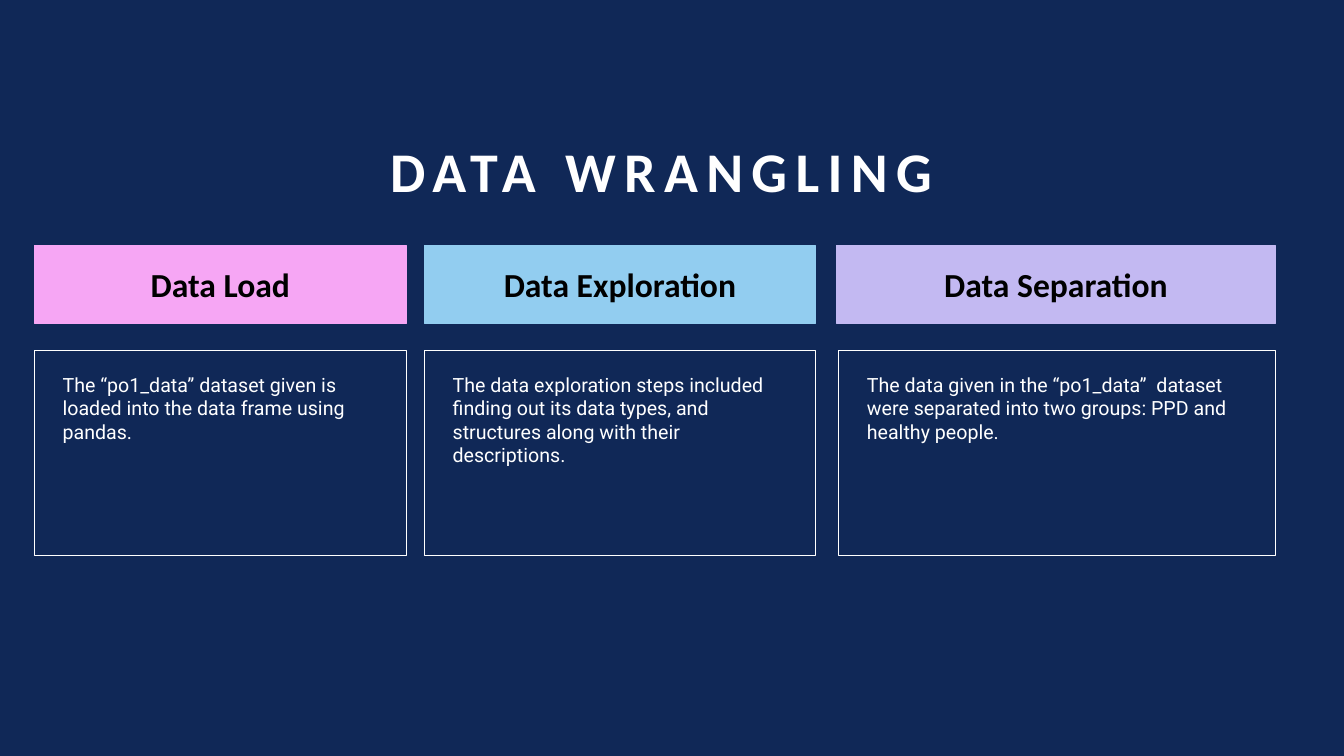
from pptx import Presentation
from pptx.dml.color import RGBColor
from pptx.enum.shapes import MSO_SHAPE
from pptx.enum.text import MSO_ANCHOR, PP_ALIGN
from pptx.util import Pt

RECT = MSO_SHAPE.RECTANGLE
TOP, MIDDLE, BOTTOM = MSO_ANCHOR.TOP, MSO_ANCHOR.MIDDLE, MSO_ANCHOR.BOTTOM
LEFT, CENTER = PP_ALIGN.LEFT, PP_ALIGN.CENTER

COLORS = {
    "navy": "102857",
    "white": "FFFFFF",
    "black": "000000",
    "pink": "F6A6F4",
    "blue": "92CDF0",
    "lilac": "C3B9F2",
}
HEADER_TOP, HEADER_HEIGHT = 175.5, 55.5
BODY_TOP, BODY_HEIGHT = 250.5, 146.2
BODY_INSETS = (20.2, 15.8, 21.6, 3.6)

# heading, colour, header left, body left, right edge, description
STEPS = [
    ("Data Load", "pink", 24.5, 24.5, 290.2,
     "The “po1_data” dataset given is loaded into the data frame using pandas."),
    ("Data Exploration", "blue", 303.1, 303.1, 582.5,
     "The data exploration steps included finding out its data types, "
     "and structures along with their descriptions."),
    ("Data Separation", "lilac", 597.6, 599, 911,
     "The data given in the “po1_data”  dataset were separated into "
     "two groups: PPD and healthy people."),
]


def rgb(name):
    """Return the named colour."""
    return RGBColor.from_string(COLORS[name])


def write(sp, text, font, size, color, bold, align, anchor):
    """Put one paragraph of styled text into a shape and return it."""
    tf = sp.text_frame
    tf.word_wrap = True
    tf.vertical_anchor = anchor
    p = tf.paragraphs[0]
    p.text = text
    p.alignment = align
    p.font.name, p.font.size, p.font.bold = font, Pt(size), bold
    p.font.color.rgb = rgb(color)
    return p


def add_title(s, text):
    """Add the centred, letter-spaced title."""
    sp = s.shapes.add_textbox(Pt(130.3), Pt(65.5), Pt(699.1), Pt(84.2))
    p = write(sp, text, "Calibri", 40, "white", True, CENTER, BOTTOM)
    p.line_spacing = 0.9
    p.runs[0]._r.get_or_add_rPr().set("spc", "600")


def add_box(s, left, top, right, height, line, fill=None):
    """Add a rectangle with a thin outline and an optional fill."""
    sp = s.shapes.add_shape(RECT, Pt(left), Pt(top), Pt(right - left), Pt(height))
    sp.shadow.inherit = False
    sp.line.color.rgb = rgb(line)
    sp.line.width = Pt(1)
    if fill:
        sp.fill.solid()
        sp.fill.fore_color.rgb = rgb(fill)
    else:
        sp.fill.background()
    return sp


def add_header(s, text, color, left, right):
    """Add the coloured heading of a step."""
    sp = add_box(s, left, HEADER_TOP, right, HEADER_HEIGHT, color, color)
    write(sp, text, "Calibri", 24, "black", True, CENTER, MIDDLE)


def add_body(s, text, left, right):
    """Add the outlined description of a step."""
    sp = add_box(s, left, BODY_TOP, right, BODY_HEIGHT, "white")
    p = write(sp, text, "Roboto", 14, "white", False, LEFT, TOP)
    p.space_after = Pt(6)
    tf = sp.text_frame
    (tf.margin_left, tf.margin_top,
     tf.margin_right, tf.margin_bottom) = map(Pt, BODY_INSETS)


def main():
    """Build the slide and save it."""
    prs = Presentation()
    prs.slide_width, prs.slide_height = Pt(960), Pt(540)
    s = prs.slides.add_slide(prs.slide_layouts[6])
    s.background.fill.solid()
    s.background.fill.fore_color.rgb = rgb("navy")
    add_title(s, "DATA WRANGLING ")
    for heading, color, header_left, body_left, right, description in STEPS:
        add_header(s, heading, color, header_left, right)
        add_body(s, description, body_left, right)
    prs.save("out.pptx")


main()
